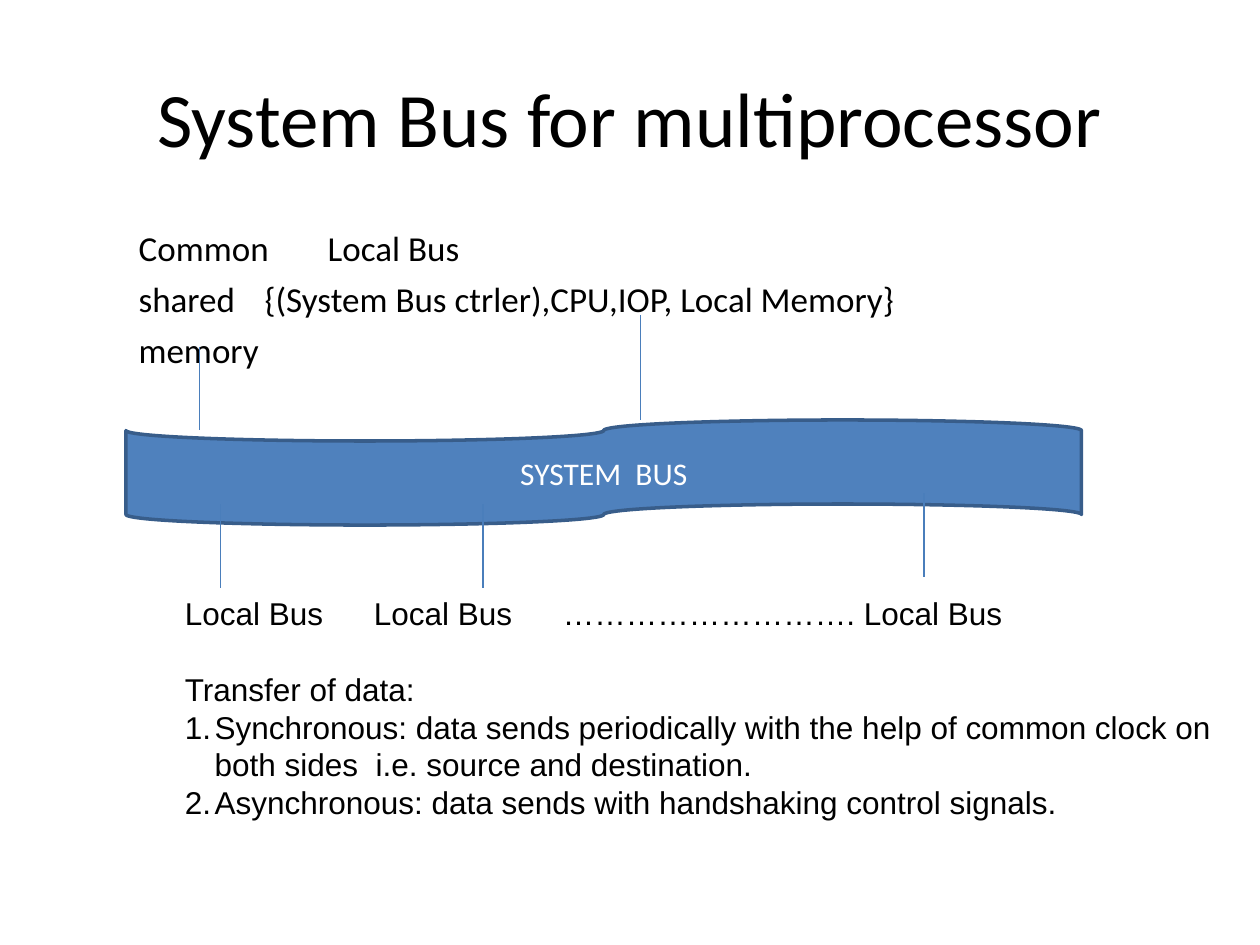
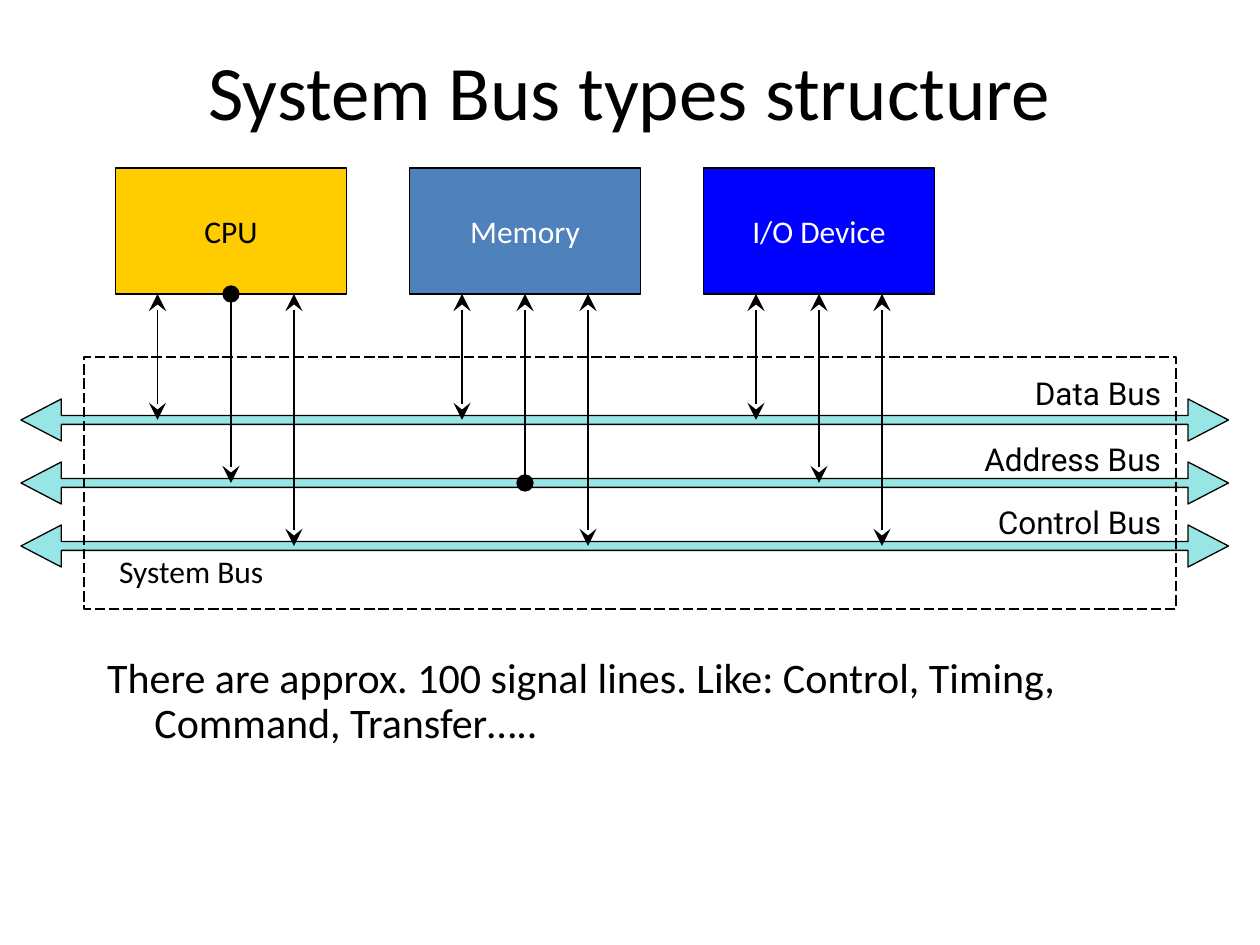
import pptx
import pptx.dml.color
import pptx.enum.dml
import pptx.enum.shapes
import pptx.enum.text
import pptx.oxml.ns
import pptx.util
from lxml import etree

Pt = pptx.util.Pt
RGBColor = pptx.dml.color.RGBColor
MSO_SHAPE = pptx.enum.shapes.MSO_SHAPE
PP_ALIGN = pptx.enum.text.PP_ALIGN
MSO_ANCHOR = pptx.enum.text.MSO_ANCHOR
qn = pptx.oxml.ns.qn

BLACK = RGBColor(0x00, 0x00, 0x00)
WHITE = RGBColor(0xFF, 0xFF, 0xFF)
BLUE = RGBColor(0x4F, 0x81, 0xBD)
DARK_BLUE = RGBColor(0x38, 0x5D, 0x8A)
LINE_BLUE = RGBColor(0x4A, 0x7E, 0xBB)
YELLOW = RGBColor(0xFF, 0xCC, 0x00)
PURE_BLUE = RGBColor(0x00, 0x00, 0xFF)
TEAL = RGBColor(0x33, 0xCC, 0xCC)


# Shared helpers
def sub(parent, tag, **attrs):
    return etree.SubElement(parent, qn(tag), {k: str(v) for k, v in attrs.items()})


def add_text(tf, text, size=18, font="Calibri", color=BLACK, align=PP_ALIGN.LEFT,
             before=0, spacing=None, margin=0, hang=0, number=None, tabs=()):
    """Add one paragraph; the first call fills the frame's empty paragraph."""
    p = tf.paragraphs[0]
    if p.runs:
        p = tf.add_paragraph()
    p.alignment = align
    p.space_before = Pt(before)
    if spacing:
        p.line_spacing = spacing
    pPr = p._p.get_or_add_pPr()
    pPr.set("marL", str(Pt(margin)))
    pPr.set("indent", str(-Pt(hang)))
    if number:
        sub(pPr, "a:buAutoNum", type="arabicPeriod", startAt=number)
    else:
        sub(pPr, "a:buNone")
    if tabs:
        tab_list = sub(pPr, "a:tabLst")
        for pos, kind in tabs:
            sub(tab_list, "a:tab", pos=Pt(pos), algn=kind)
    r = p.add_run()
    r.text = text
    r.font.size = Pt(size)
    r.font.name = font
    r.font.color.rgb = color


def place(sp, box):
    sp.left, sp.top, sp.width, sp.height = (Pt(v) for v in box)
    tf = sp.text_frame
    tf.auto_size = pptx.enum.text.MSO_AUTO_SIZE.NONE
    tf.word_wrap = True
    return tf


def add_box(s, box):
    return place(s.shapes.add_textbox(0, 0, 0, 0), box)


def add_shape(s, kind, box, fill=None, line=BLACK, width=0.75):
    sp = s.shapes.add_shape(kind, *(Pt(v) for v in box))
    sp.shadow.inherit = False
    if fill is None:
        sp.fill.background()
    else:
        sp.fill.solid()
        sp.fill.fore_color.rgb = fill
    sp.line.color.rgb = line
    sp.line.width = Pt(width)
    sp.text_frame.vertical_anchor = MSO_ANCHOR.MIDDLE
    return sp


def add_vertical(s, x, y1, y2, color, head=None, tail=None):
    cn = s.shapes.add_connector(pptx.enum.shapes.MSO_CONNECTOR.STRAIGHT,
                                Pt(x), Pt(y1), Pt(x), Pt(y2))
    cn.line.color.rgb = color
    cn.line.width = Pt(0.75)
    ln = cn.line._get_or_add_ln()
    for tag, end in (("a:headEnd", head), ("a:tailEnd", tail)):
        if end:
            sub(ln, tag, type=end, w="lg", len="lg")
    sub(cn._element.spPr, "a:effectLst")


def new_slide(prs, title, title_box):
    s = prs.slides.add_slide(prs.slide_layouts[1])
    tf = place(s.shapes.title, title_box)
    tf.vertical_anchor = MSO_ANCHOR.MIDDLE
    add_text(tf, title, size=44, align=PP_ALIGN.CENTER)
    return s


# Slide 1: multiprocessor bus
def unit_names(s, box):
    tf = place(s.placeholders[1], box)
    centre = (59.8, "ctr")
    add_text(tf, "\tCommon\tLocal Bus", size=20, tabs=[centre, (345.4, "l")])
    add_text(tf, "\tshared\t{(System Bus ctrler),CPU,IOP, Local Memory}", size=20,
             before=5, tabs=[centre, (249.4, "l")])
    add_text(tf, "\tmemory", size=20, before=5, tabs=[centre])


def bus_tape(s, box):
    left, top, _, height = box
    bottom = top + height
    add_vertical(s, left + 42, top - 42, top + 6, LINE_BLUE)
    tape = add_shape(s, MSO_SHAPE.FLOWCHART_PUNCHED_TAPE, box, BLUE, DARK_BLUE, 2)
    add_text(tape.text_frame, "SYSTEM  BUS", color=WHITE, align=PP_ALIGN.CENTER)
    add_vertical(s, left + 294, top - 60, top, LINE_BLUE)
    for dx, lift in ((54, 12), (204, 12), (456, 18)):
        y = bottom - lift
        add_vertical(s, left + dx, y, y + 48, LINE_BLUE)


def transfer_notes(s, box):
    tf = add_box(s, box)
    style = dict(font="Arial", spacing=Pt(21.6))
    add_text(tf, "Local Bus\tLocal Bus\t………………………. Local Bus",
             tabs=[(144, "l"), (238.5, "l")], **style)
    add_text(tf, "Transfer of data:", before=21.6, **style)
    modes = ("Synchronous: data sends periodically with the help of common clock on "
             "both sides  i.e. source and destination.",
             "Asynchronous: data sends with handshaking control signals.")
    for i, mode in enumerate(modes, 1):
        add_text(tf, mode, number=i, margin=17, hang=17, **style)


def multiprocessor_slide(prs):
    s = new_slide(prs, "System Bus for multiprocessor", (36, 21.6, 648, 90))
    unit_names(s, (36, 126, 648, 356))
    bus_tape(s, (72, 240, 546, 60))
    transfer_notes(s, (98.6, 336, 608, 158))


# Slide 2: bus types
def bus_lines(s, box, pitch):
    left, top, width, height = box
    for i in range(3):
        sp = add_shape(s, MSO_SHAPE.LEFT_RIGHT_ARROW,
                       (left, top + i * pitch, width, height), TEAL)
        sp.adjustments[0], sp.adjustments[1] = 0.21, 0.96
        sub(sp.fill._xPr.find(qn("a:solidFill"))[0], "a:alpha", val=50000)


def bus_frame(s, box):
    left, top, width, height = box
    frame = add_shape(s, MSO_SHAPE.RECTANGLE, box)
    frame.line.dash_style = pptx.enum.dml.MSO_LINE.LONG_DASH
    add_text(add_box(s, (left + 13, top + height - 36, 110, 29)), "System Bus")
    names = (("Data Bus", 6), ("Address Bus", 44), ("Control Bus", 80))
    for name, dy in names:
        tf = add_box(s, (left + width - 121.4, top + dy, 120, 29))
        add_text(tf, name, font="Roboto", align=PP_ALIGN.RIGHT)


def unit_block(s, box, name, fill, color, links, bus_top, pitch):
    """A unit and its three links, one to each bus: (offset, unit end, bus end)."""
    left, top, _, height = box
    block = add_shape(s, MSO_SHAPE.RECTANGLE, box, fill)
    add_text(block.text_frame, name, color=color, align=PP_ALIGN.CENTER)
    for i, (dx, head, tail) in enumerate(links):
        add_vertical(s, left + dx, top + height, bus_top + i * pitch, BLACK, head, tail)


def bus_types_slide(prs):
    s = new_slide(prs, "System Bus types structure", (54, 6, 612, 90))
    tf = place(s.placeholders[1], (54, 372, 612, 108))
    add_text(tf, "There are approx. 100 signal lines. Like: Control, Timing, "
                 "Command, Transfer…..", size=24, spacing=0.9, margin=27, hang=27)

    pitch, bus_top, bus_height = 36, 240, 24
    bus_lines(s, (12, bus_top - bus_height / 2, 690, bus_height), pitch)
    bus_frame(s, (48, 204, 624, 144))
    both, from_unit, from_bus = ("stealth", "stealth"), ("oval", "stealth"), ("stealth", "oval")
    units = (("CPU", YELLOW, BLACK, 24, from_unit),
             ("Memory", BLUE, WHITE, 30, from_bus),
             ("I/O Device", PURE_BLUE, WHITE, 30, both))
    for i, (name, fill, color, data_dx, address_ends) in enumerate(units):
        links = ((data_dx, *both), (66, *address_ends), (102, *both))
        unit_block(s, (66 + i * 168, 96, 132, 72), name, fill, color, links,
                   bus_top, pitch)


def main():
    prs = pptx.Presentation()
    prs.slide_width, prs.slide_height = Pt(720), Pt(540)
    multiprocessor_slide(prs)
    bus_types_slide(prs)
    prs.save("out.pptx")


if __name__ == "__main__":
    main()
